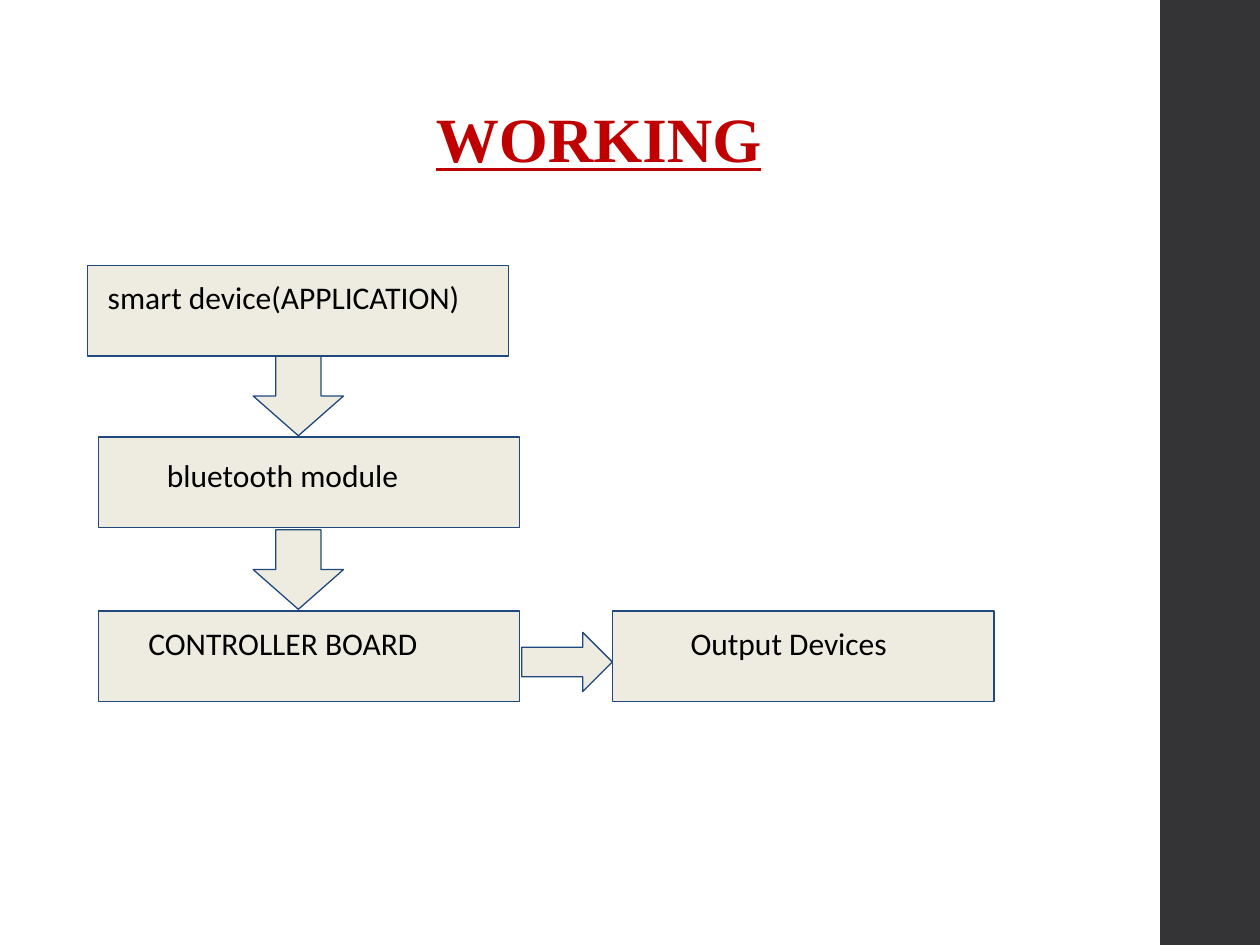
from pptx import Presentation
from pptx.dml.color import RGBColor
from pptx.enum.shapes import MSO_SHAPE
from pptx.util import Pt

THEME = {
    "band": RGBColor(0x34, 0x34, 0x37),
    "title": RGBColor(0xC0, 0x00, 0x00),
    "fill": RGBColor(0xEE, 0xEC, 0xE1),
    "line": RGBColor(0x1F, 0x49, 0x7D),
    "text": RGBColor(0x00, 0x00, 0x00),
    "title_font": "Times New Roman",
    "body_font": "Calibri",
    "title_size": Pt(36),
    "body_size": Pt(18),
    "line_width": Pt(0.75),
}

SLIDE_WIDTH, SLIDE_HEIGHT = 720, 540
BAND_LEFT = 663
STEP_HEIGHT = 51.6
INSET = 7.2
TITLE = ("WORKING", (249.1, 56.9, 321.8, 45.4))

STEPS = [
    {"text": "smart device(APPLICATION)", "box": (50.2, 151.9, 240.6),
     "label": (50.4, 151.9, 578.2, 67.7), "indent": 4},
    {"text": "bluetooth module", "box": (56.2, 249.8, 240.6),
     "label": (56.2, 253.4, 240.5, 45.4), "indent": 32},
    {"text": "CONTROLLER BOARD", "box": (56.2, 349.2, 240.6),
     "label": (57.6, 349.6, 240.5, 45.4), "indent": 20},
    {"text": "Output Devices", "box": (349.9, 349.2, 218.2),
     "label": (351.4, 349.2, 219.6, 51.6), "indent": 36},
]

ARROWS = [
    (MSO_SHAPE.DOWN_ARROW, (144.7, 203.6, 51.6, 45.4)),
    (MSO_SHAPE.DOWN_ARROW, (144.7, 302.8, 51.6, 45.4)),
    (MSO_SHAPE.RIGHT_ARROW, (298.1, 361.4, 51.8, 33.8)),
]


def add_block(page, kind, bounds, fill, line=None):
    block = page.shapes.add_shape(kind, *map(Pt, bounds))
    block.shadow.inherit = False
    block.fill.solid()
    block.fill.fore_color.rgb = fill
    if line is None:
        block.line.fill.background()
    else:
        block.line.color.rgb = line
        block.line.width = THEME["line_width"]


def add_label(page, text, bounds, font_name, size, color, inset=0, indent=0):
    frame = page.shapes.add_textbox(*map(Pt, bounds)).text_frame
    frame.word_wrap = True
    frame.margin_top = frame.margin_right = frame.margin_bottom = Pt(inset)
    frame.margin_left = Pt(inset + indent)
    para = frame.paragraphs[0]
    para.text = text
    para.font.name = font_name
    para.font.size = size
    para.font.color.rgb = color
    return para


def main():
    deck = Presentation()
    deck.slide_width, deck.slide_height = Pt(SLIDE_WIDTH), Pt(SLIDE_HEIGHT)
    page = deck.slides.add_slide(deck.slide_layouts[6])

    band = (BAND_LEFT, 0, SLIDE_WIDTH - BAND_LEFT, SLIDE_HEIGHT)
    add_block(page, MSO_SHAPE.RECTANGLE, band, THEME["band"])

    title = add_label(page, *TITLE, THEME["title_font"], THEME["title_size"], THEME["title"])
    title.font.bold = True
    title.font.underline = True

    for step in STEPS:
        add_block(page, MSO_SHAPE.RECTANGLE, (*step["box"], STEP_HEIGHT),
                  THEME["fill"], THEME["line"])
        add_label(page, step["text"], step["label"], THEME["body_font"],
                  THEME["body_size"], THEME["text"], INSET, step["indent"])

    for kind, bounds in ARROWS:
        add_block(page, kind, bounds, THEME["fill"], THEME["line"])

    deck.save("out.pptx")


if __name__ == "__main__":
    main()
